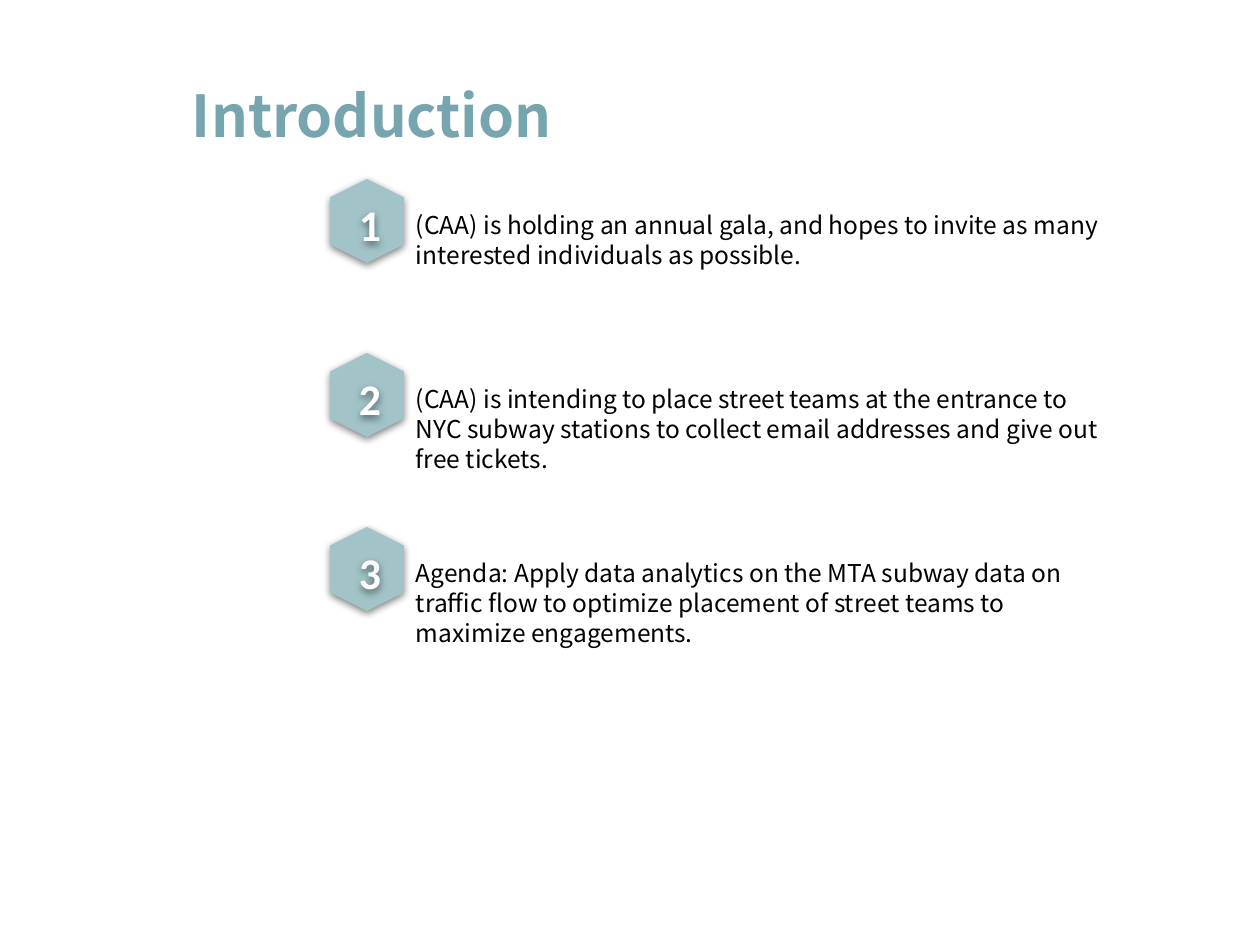
import pptx
import pptx.dml.color
import pptx.enum.shapes
import pptx.enum.text
import pptx.oxml
import pptx.util

PX = 914400 / 126
SHADOW = (
    '<a:effectLst xmlns:a="http://schemas.openxmlformats.org/drawingml/2006/main">'
    '<a:outerShdw blurRad="57150" dist="19050" dir="5400000" algn="bl" rotWithShape="0">'
    '<a:srgbClr val="000000"><a:alpha val="50000"/></a:srgbClr>'
    '</a:outerShdw></a:effectLst>'
)
POINTS = [
    ("(CAA) is holding an annual gala, and hopes to invite as many "
     "interested individuals as possible.", 750, 84),
    ("(CAA) is intending to place street teams at the entrance to NYC subway "
     "stations to collect email addresses and give out free tickets.", 717, 115),
    ("Agenda: Apply data analytics on the MTA subway data on traffic flow to "
     "optimize placement of street teams to maximize engagements.", 717, 115),
]


def px(value):
    return pptx.util.Emu(round(value * PX))


def color(value):
    return pptx.dml.color.RGBColor.from_string(value)


class IntroductionSlide:
    """Holds the style and the current slide, and draws each kind of element."""

    font = "Noto Sans CJK KR"
    number_font = "Calibri"
    title_color = "76A5AF"
    badge_color = "A2C4C9"
    text_color = "000000"
    number_color = "FFFFFF"

    def __init__(self, presentation):
        self.slide = presentation.slides.add_slide(presentation.slide_layouts[5])

    def set_text(self, shape, text, size, font, text_color, bold=False, spacing=None, inset=13):
        frame = shape.text_frame
        frame.word_wrap = True
        frame.auto_size = pptx.enum.text.MSO_AUTO_SIZE.NONE
        frame.vertical_anchor = pptx.enum.text.MSO_ANCHOR.TOP
        frame.margin_left = frame.margin_right = px(13)
        frame.margin_top = frame.margin_bottom = px(inset)
        frame.text = text
        paragraph = frame.paragraphs[0]
        paragraph.alignment = pptx.enum.text.PP_ALIGN.LEFT
        if spacing:
            paragraph.line_spacing = pptx.util.Pt(spacing)
        paragraph.font.size = pptx.util.Pt(size)
        paragraph.font.name = font
        paragraph.font.bold = bold
        paragraph.font.color.rgb = color(text_color)

    def cast_shadow(self, shape):
        shape._element.spPr.append(pptx.oxml.parse_xml(SHADOW))

    def title(self, text, left, top, width, height):
        shape = self.slide.shapes.title
        shape.left, shape.top, shape.width, shape.height = map(px, (left, top, width, height))
        self.set_text(shape, text, 33, self.font, self.title_color, bold=True, spacing=40)

    def badge(self, number, left, top):
        group = self.slide.shapes.add_group_shape()
        hexagon = group.shapes.add_shape(
            pptx.enum.shapes.MSO_SHAPE.HEXAGON, px(left), px(top), px(84), px(74))
        hexagon.adjustments[0] = 0.25
        hexagon.rotation = 90
        hexagon.fill.solid()
        hexagon.fill.fore_color.rgb = color(self.badge_color)
        hexagon.line.fill.background()
        self.cast_shadow(hexagon)
        label = group.shapes.add_textbox(px(left + 21), px(top + 8), px(74), px(66))
        self.set_text(label, str(number), 25, self.number_font, self.number_color,
                      bold=True, inset=6)
        self.cast_shadow(label)

    def point(self, text, left, top, width, height):
        shape = self.slide.shapes.add_textbox(px(left), px(top), px(width), px(height))
        self.set_text(shape, text, 14, self.font, self.text_color, spacing=17)


def main():
    presentation = pptx.Presentation()
    presentation.slide_width = px(1260)
    presentation.slide_height = px(945)
    page = IntroductionSlide(presentation)
    page.title("Introduction", 179, 66, 393, 96)
    for index, (text, width, height) in enumerate(POINTS):
        top = 184 + 174 * index
        page.badge(index + 1, 325, top)
        page.point(text, 403, top + 13, width, height)
    presentation.save("out.pptx")


if __name__ == "__main__":
    main()
